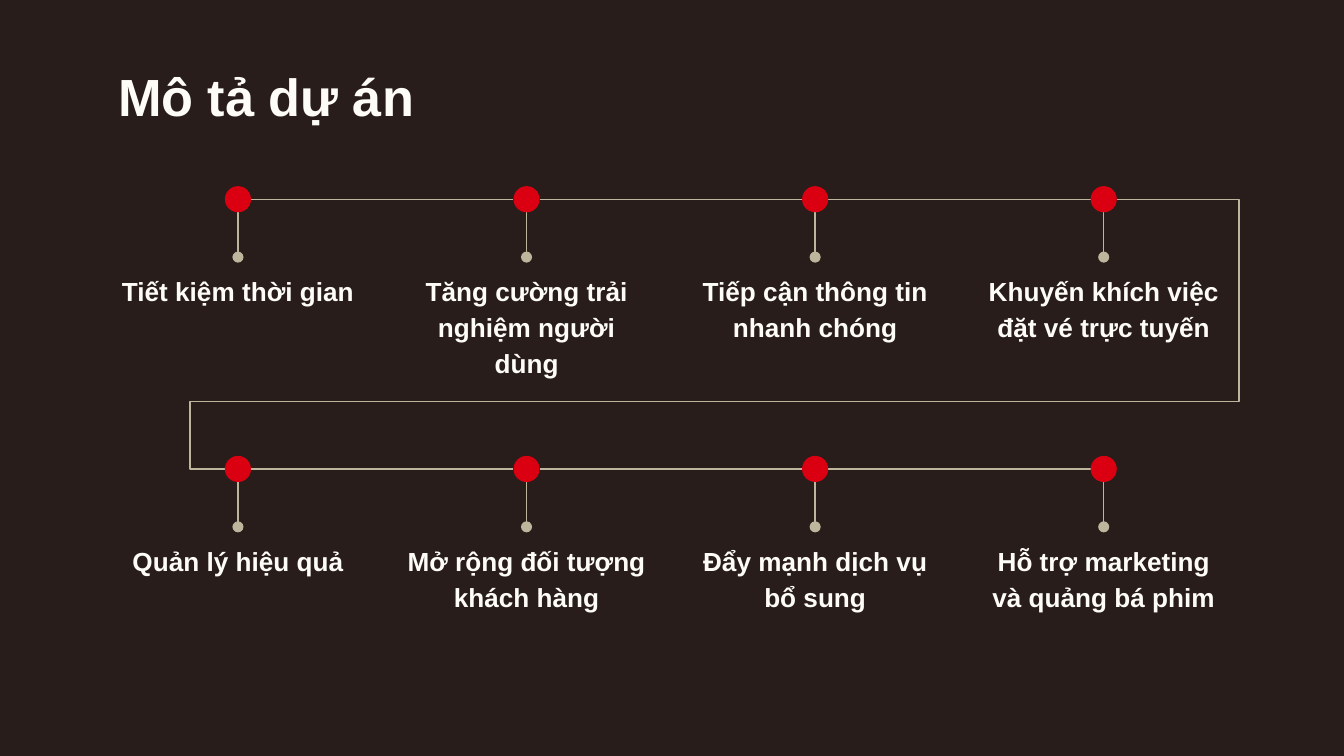
import pptx
import pptx.util
import pptx.dml.color
import pptx.enum.shapes
import pptx.enum.text
import pptx.oxml.ns
import lxml.etree

Pt = pptx.util.Pt
RGB = pptx.dml.color.RGBColor.from_string
qn = pptx.oxml.ns.qn
CONNECTOR = pptx.enum.shapes.MSO_CONNECTOR
COLORS = {"background": "281D1B", "text": "FEFCF6", "line": "BDB69D", "marker": "DB0011"}

STEPS = [
    ["Tiết kiệm thời gian", "Tăng cường trải nghiệm người dùng",
     "Tiếp cận thông tin nhanh chóng", "Khuyến khích việc đặt vé trực tuyến"],
    ["Quản lý hiệu quả", "Mở rộng đối tượng khách hàng",
     "Đẩy mạnh dịch vụ bổ sung", "Hỗ trợ marketing và quảng bá phim"],
]
COLUMNS = [127.5 + 154.6 * i for i in range(4)]
ROWS = [106.75 + 144.5 * i for i in range(2)]
RADIUS = 7
LABEL_WIDTH, LABEL_HEIGHT, STEM_END = 142.6, 70.5, 31

prs = pptx.Presentation()
prs.slide_width, prs.slide_height = Pt(720), Pt(405)
slide = prs.slides.add_slide(prs.slide_layouts[6])
slide.background.fill.solid()
slide.background.fill.fore_color.rgb = RGB(COLORS["background"])


def add_text(text, left, top, width, height, size):
    """Add a bold wrapped text box and return its paragraph."""
    frame = slide.shapes.add_textbox(Pt(left), Pt(top), Pt(width), Pt(height)).text_frame
    frame.word_wrap = True
    frame.margin_left = frame.margin_right = frame.margin_top = frame.margin_bottom = Pt(7.2)
    frame.text = text
    font = frame.paragraphs[0].runs[0].font
    font.name, font.size, font.bold = "Arial", Pt(size), True
    font.color.rgb = RGB(COLORS["text"])
    return frame.paragraphs[0]


def add_line(x1, y1, x2, y2, kind=CONNECTOR.STRAIGHT):
    line = slide.shapes.add_connector(kind, Pt(x1), Pt(y1), Pt(x2), Pt(y2))
    line.line.color.rgb = RGB(COLORS["line"])
    line.line.width = Pt(0.75)
    lxml.etree.SubElement(line._element.spPr, qn("a:effectLst"))
    return line


add_text("Mô tả dự án", 56.2, 27.4, 607, 45.4, 28)

for y, labels in zip(ROWS, STEPS):
    for x, label in zip(COLUMNS, labels):
        paragraph = add_text(label, x - LABEL_WIDTH / 2, y + STEM_END,
                             LABEL_WIDTH, LABEL_HEIGHT, 14)
        paragraph.alignment = pptx.enum.text.PP_ALIGN.CENTER
        paragraph.line_spacing = 1.15
    for x, next_x in zip(COLUMNS, COLUMNS[1:]):
        add_line(x + RADIUS, y, next_x - RADIUS, y)
    for x in COLUMNS:
        stem = add_line(x, y + RADIUS, x, y + STEM_END)
        lxml.etree.SubElement(stem.line._get_or_add_ln(), qn("a:tailEnd"), type="oval")

# The link between the rows leaves on the right and returns on the left
row_link = add_line(COLUMNS[-1] + RADIUS, ROWS[0], COLUMNS[0] - RADIUS, ROWS[1],
                    CONNECTOR.ELBOW)
geometry = row_link._element.spPr.find(qn("a:prstGeom"))
geometry.set("prst", "bentConnector5")
adjustments = geometry.find(qn("a:avLst"))
for number, value in enumerate([-13700, 74900, 103900], start=1):
    lxml.etree.SubElement(adjustments, qn("a:gd"), name=f"adj{number}", fmla=f"val {value}")

for y in ROWS:
    for x in COLUMNS:
        marker = slide.shapes.add_shape(pptx.enum.shapes.MSO_SHAPE.OVAL, Pt(x - RADIUS),
                                        Pt(y - RADIUS), Pt(2 * RADIUS), Pt(2 * RADIUS))
        marker.shadow.inherit = False
        marker.fill.solid()
        marker.fill.fore_color.rgb = RGB(COLORS["marker"])
        marker.line.fill.background()

prs.save("out.pptx")
